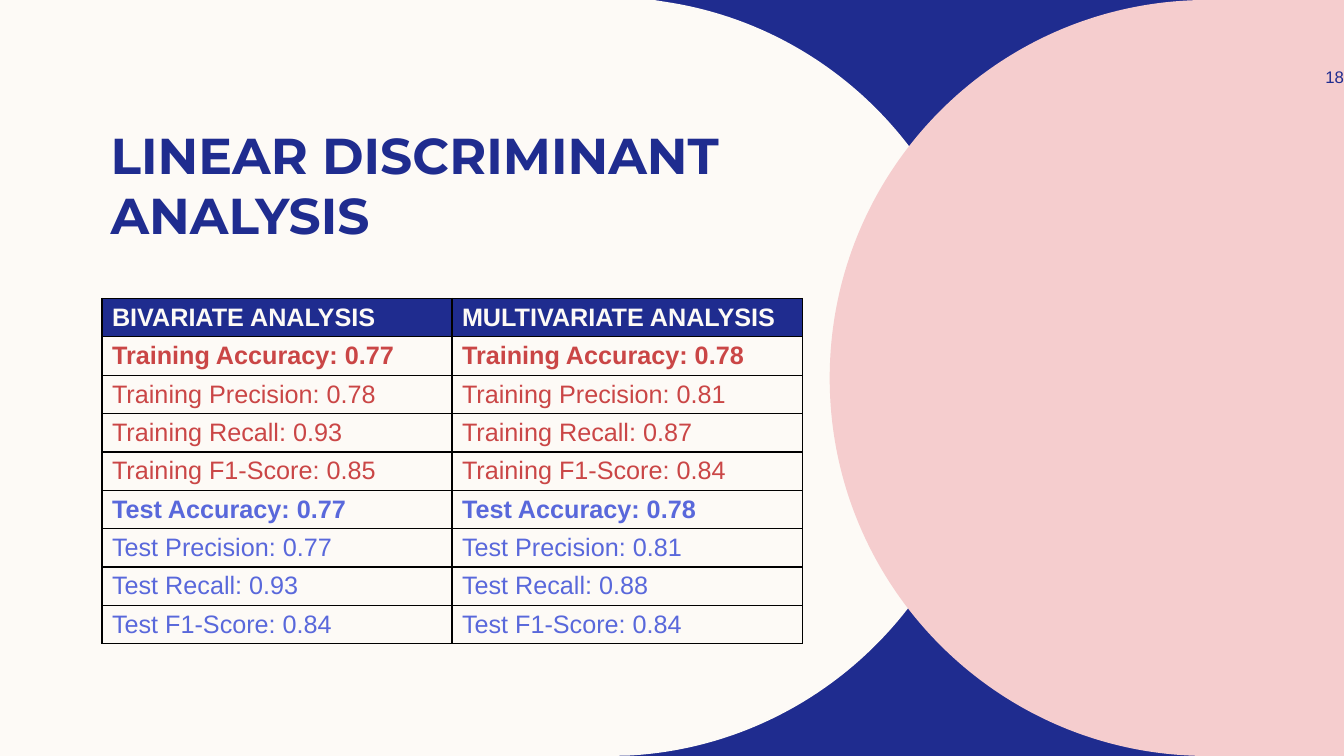
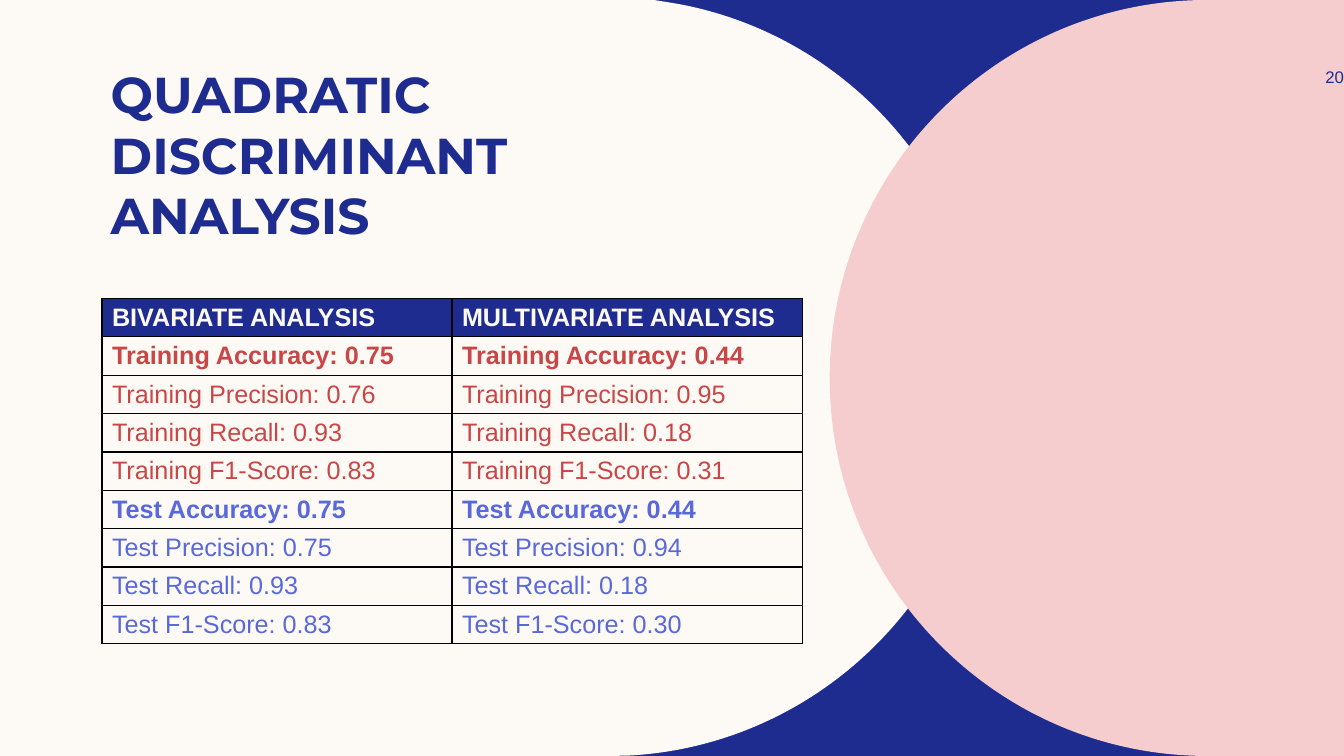
from dataclasses import dataclass

from lxml import etree
from pptx import Presentation
from pptx.dml.color import RGBColor
from pptx.enum.text import MSO_ANCHOR, PP_ALIGN
from pptx.oxml.ns import qn
from pptx.util import Cm, Pt

LEFT, RIGHT = PP_ALIGN.LEFT, PP_ALIGN.RIGHT
MIDDLE, BOTTOM = MSO_ANCHOR.MIDDLE, MSO_ANCHOR.BOTTOM


@dataclass(frozen=True)
class Theme:
    navy: str = "1F2C8F"
    cream: str = "FDFAF6"
    pink: str = "F5CDCE"
    red: str = "CA4646"
    blue: str = "5968DB"
    black: str = "000000"
    head: str = "Montserrat"
    body: str = "Arial"
    title: int = 36
    cell: int = 18
    page: int = 12
    border: int = 1


THEME = Theme()
WIDTH, HEIGHT = 33.87, 19.05

CREAM_EDGE = [
    [(0, 0)],
    [(16.48, 0)],
    [(16.79, 0.05)],
    [(21.36, 0.74), (24.87, 4.7), (24.87, 9.5)],
    [(24.87, 14.61), (20.85, 18.77), (15.85, 19.04)],
    [(15.34, HEIGHT)],
    [(0, HEIGHT)],
]
PINK_EDGE = [
    [(30.43, 0)],
    [(WIDTH, 0)],
    [(WIDTH, HEIGHT)],
    [(30.43, HEIGHT)],
    [(25.17, HEIGHT), (20.91, 14.78), (20.91, 9.53)],
    [(20.91, 4.27), (25.17, 0), (30.43, 0)],
]

TITLE_BOX = (2.54, 0.56, 15.88, 5.61)
PAGE_BOX = (31.12, 1.27, 2.75, 1.32)
TABLE_BOX = (2.57, 7.52, 17.65, 8.71)
COLUMNS = (8.82, 8.83)

TITLE_FRAME = dict(margin_top=0, margin_bottom=0, vertical_anchor=BOTTOM,
                   word_wrap=True)
PAGE_FRAME = dict(margin_right=0, vertical_anchor=MIDDLE, word_wrap=True)
CELL_FRAME = dict(margin_top=Cm(0.1), margin_bottom=Cm(0.1),
                  vertical_anchor=MIDDLE)

TITLE_FONT = dict(name=THEME.head, size=Pt(THEME.title), bold=True)
PAGE_FONT = dict(name=THEME.body, size=Pt(THEME.page), bold=False)
CELL_FONT = dict(name=THEME.body, size=Pt(THEME.cell))

HEADS = ("BIVARIATE ANALYSIS", "MULTIVARIATE ANALYSIS")
STAGES = (("Training", THEME.red), ("Test", THEME.blue))
SCORES = ("Accuracy", "Precision", "Recall", "F1-Score")

SLIDES = [
    ("LINEAR DISCRIMINANT ANALYSIS", "18", [
        ("0.77", "0.78"), ("0.78", "0.81"), ("0.93", "0.87"), ("0.85", "0.84"),
        ("0.77", "0.78"), ("0.77", "0.81"), ("0.93", "0.88"), ("0.84", "0.84"),
    ]),
    ("QUADRATIC DISCRIMINANT ANALYSIS", "20", [
        ("0.75", "0.44"), ("0.76", "0.95"), ("0.93", "0.18"), ("0.83", "0.31"),
        ("0.75", "0.44"), ("0.75", "0.94"), ("0.93", "0.18"), ("0.83", "0.30"),
    ]),
]


def apply(target, values):
    for name, value in values.items():
        setattr(target, name, value)


def paint(fill, color):
    fill.solid()
    fill.fore_color.rgb = RGBColor.from_string(color)


def write(frame, text, font, color, align=LEFT):
    para = frame.paragraphs[0]
    para.alignment = align
    run = para.add_run()
    run.text = text
    apply(run.font, font)
    run.font.color.rgb = RGBColor.from_string(color)


def add_text(slide, box, text, layout, font, align=LEFT):
    frame = slide.shapes.add_textbox(*map(Cm, box)).text_frame
    apply(frame, layout)
    write(frame, text, font, THEME.navy, align)


def bend(shape, parts):
    lines = iter(list(shape._element.iter(qn("a:lnTo"))))
    for part in parts:
        group = [next(lines) for _ in part]
        if len(group) == 1:
            continue
        curve = etree.Element(qn("a:cubicBezTo"))
        group[0].addprevious(curve)
        for line in group:
            curve.append(line[0])
            line.getparent().remove(line)


def add_curve(slide, edge, color):
    start, *rest = [(Cm(x), Cm(y)) for part in edge for x, y in part]
    pen = slide.shapes.build_freeform(*start)
    pen.add_line_segments(rest, close=True)
    shape = pen.convert_to_shape()
    bend(shape, edge[1:])
    shape.shadow.inherit = False
    paint(shape.fill, color)
    shape.line.fill.background()


def frame_cell(cell):
    props = cell._tc.get_or_add_tcPr()
    for side in ("a:lnL", "a:lnR", "a:lnT", "a:lnB"):
        line = etree.SubElement(props, qn(side), w=str(Pt(THEME.border)))
        fill = etree.SubElement(line, qn("a:solidFill"))
        etree.SubElement(fill, qn("a:srgbClr"), val=THEME.black)


def fill_cell(cell, text, color, bold, back=None):
    apply(cell, CELL_FRAME)
    frame_cell(cell)
    if back:
        paint(cell.fill, back)
    else:
        cell.fill.background()
    write(cell.text_frame, text, CELL_FONT | dict(bold=bold), color)


def add_scores(slide, values):
    labels = [(f"{stage} {score}", color, score == SCORES[0])
              for stage, color in STAGES for score in SCORES]
    table = slide.shapes.add_table(
        len(labels) + 1, len(HEADS), *map(Cm, TABLE_BOX)).table
    apply(table, dict(first_row=False, horz_banding=False))
    for col, (head, width) in enumerate(zip(HEADS, COLUMNS)):
        table.columns[col].width = Cm(width)
        fill_cell(table.cell(0, col), head, THEME.cream, True, THEME.navy)
    for row, ((label, color, bold), pair) in enumerate(zip(labels, values), 1):
        for col, value in enumerate(pair):
            fill_cell(table.cell(row, col), f"{label}: {value}", color, bold)


def add_slide(deck, title, page, values):
    slide = deck.slides.add_slide(deck.slide_layouts[6])
    add_curve(slide, CREAM_EDGE, THEME.cream)
    add_curve(slide, PINK_EDGE, THEME.pink)
    add_text(slide, TITLE_BOX, title, TITLE_FRAME, TITLE_FONT)
    add_text(slide, PAGE_BOX, page, PAGE_FRAME, PAGE_FONT, RIGHT)
    add_scores(slide, values)


def main():
    deck = Presentation()
    apply(deck, dict(slide_width=Cm(WIDTH), slide_height=Cm(HEIGHT)))
    paint(deck.slide_master.background.fill, THEME.navy)
    for title, page, values in SLIDES:
        add_slide(deck, title, page, values)
    deck.save("out.pptx")


if __name__ == "__main__":
    main()
